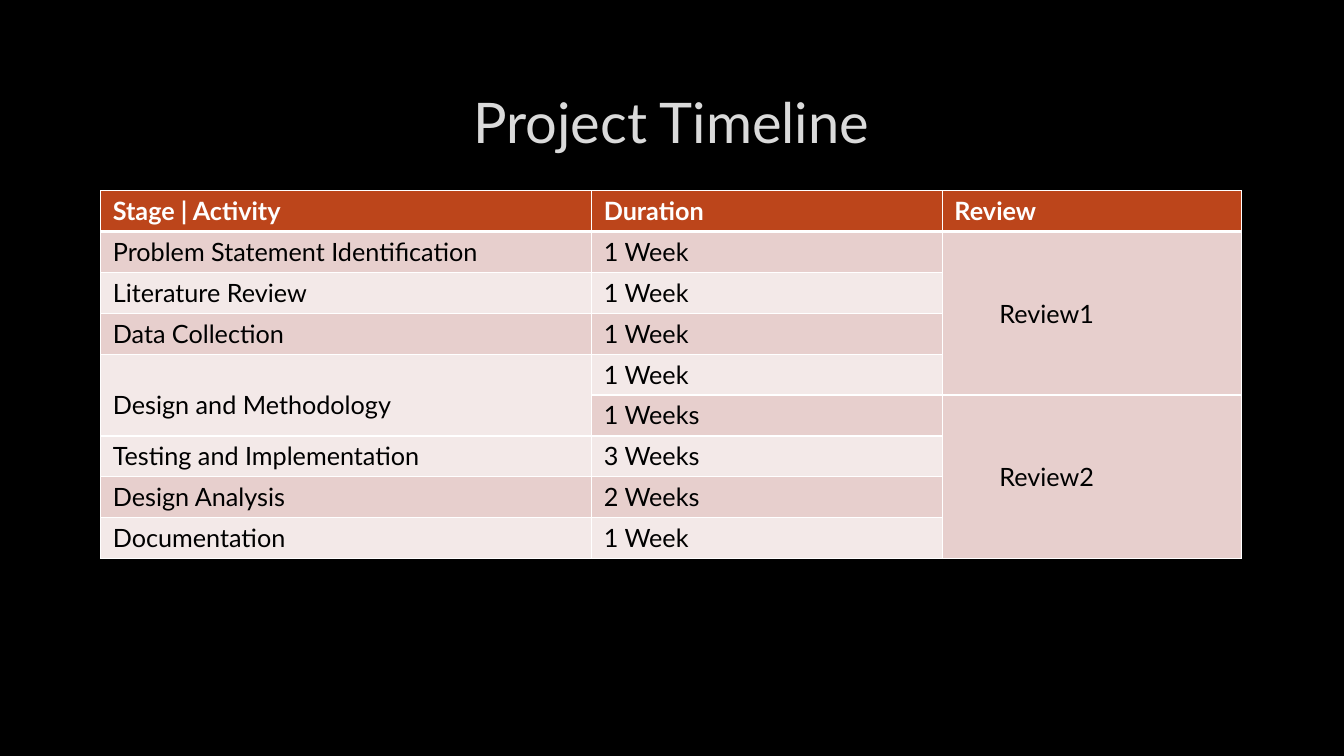
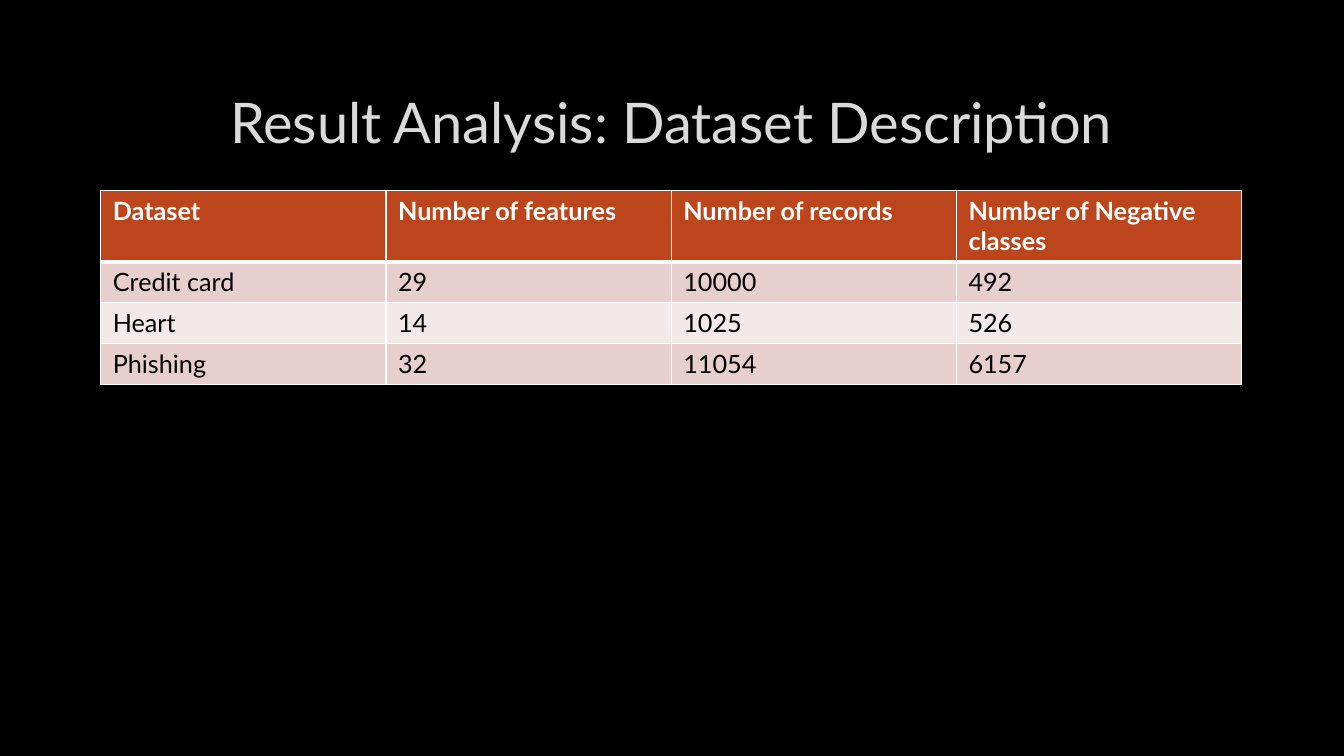
from lxml import etree
from pptx import Presentation
from pptx import util as u
from pptx.dml.color import RGBColor
from pptx.enum import text
from pptx.oxml import parse_xml

NAMESPACE = "http://schemas.openxmlformats.org/drawingml/2006/main"
FONT = "Lato"
BLACK, WHITE, TITLE_GREY, OUTLINE = "000000", "FFFFFF", "DADADA", "404040"
HEADER, BANDS = "BC451B", ("F3E9E8", "E7CFCD")
LEFT, WIDTH = 72, 815
TITLE_TOP, TITLE_HEIGHT, TABLE_TOP = 48, 76.4, 136.2
ROW_HEIGHT, LINE_HEIGHT = 29.2, 21.6
SIDE_INSET, TOP_INSET = 8.64, 3.6


def write(frame, words, size=18, color=BLACK, bold=False, align=text.PP_ALIGN.LEFT):
    para = frame.paragraphs[0]
    para.alignment = align
    span = para.add_run()
    span.text = words
    span.font.name = FONT
    span.font.size = u.Pt(size)
    span.font.bold = bold
    span.font.color.rgb = RGBColor.from_string(color)
    return span


def line_xml(tag, color, width, alpha=100):
    return parse_xml(
        f'<a:{tag} xmlns:a="{NAMESPACE}" w="{u.Pt(width)}"><a:solidFill>'
        f'<a:srgbClr val="{color}"><a:alpha val="{alpha * 1000}"/></a:srgbClr>'
        f'</a:solidFill><a:prstDash val="solid"/></a:{tag}>')


# Content: merges map (row, column) to rows spanned, left inset, top inset, anchor
MIDDLE, TOP = text.MSO_ANCHOR.MIDDLE, text.MSO_ANCHOR.TOP
review_merge = (4, 40.7, TOP_INSET, MIDDLE)
pages = [
    {
        "title": "Project Timeline",
        "columns": [350.7, 250.5, 213.8],
        "header_height": ROW_HEIGHT,
        "rows": [
            ["Stage | Activity", "Duration", "Review"],
            ["Problem Statement Identification", "1 Week", "Review1"],
            ["Literature Review", "1 Week", ""],
            ["Data Collection", "1 Week", ""],
            ["Design and Methodology", "1 Week", ""],
            ["", "1 Weeks", "Review2"],
            ["Testing and Implementation", "3 Weeks", ""],
            ["Design Analysis", "2 Weeks", ""],
            ["Documentation", "1 Week", ""],
        ],
        "merges": {
            (1, 2): review_merge,
            (5, 2): review_merge,
            (4, 0): (2, SIDE_INSET, TOP_INSET + LINE_HEIGHT, TOP),
        },
    },
    {
        "title": "Result Analysis: Dataset Description",
        "columns": [WIDTH / 4] * 4,
        "header_height": ROW_HEIGHT + LINE_HEIGHT,
        "rows": [
            ["Dataset", "Number of features", "Number of records",
             "Number of Negative classes"],
            ["Credit card", "29", "10000", "492"],
            ["Heart", "14", "1025", "526"],
            ["Phishing", "32", "11054", "6157"],
        ],
        "merges": {},
    },
]

# Deck with a shared black background
deck = Presentation()
deck.slide_width, deck.slide_height = u.Pt(960), u.Pt(540)
background = deck.slide_master.background.fill
background.solid()
background.fore_color.rgb = RGBColor.from_string(BLACK)

for content in pages:
    page = deck.slides.add_slide(deck.slide_layouts[5])

    # Title
    box = page.shapes.title
    box.left, box.top = u.Pt(LEFT), u.Pt(TITLE_TOP)
    box.width, box.height = u.Pt(WIDTH), u.Pt(TITLE_HEIGHT)
    box.text_frame.vertical_anchor = MIDDLE
    span = write(box.text_frame, content["title"], size=40, color=TITLE_GREY,
                 align=text.PP_ALIGN.CENTER)
    span.font.fill.solid()
    span.font.color.rgb = RGBColor.from_string(TITLE_GREY)
    span.font._element.insert(0, line_xml("ln", OUTLINE, 0.75, alpha=10))

    # Table grid
    rows, columns = content["rows"], content["columns"]
    heights = [content["header_height"]] + [ROW_HEIGHT] * (len(rows) - 1)
    table = page.shapes.add_table(
        len(rows), len(columns), u.Pt(LEFT), u.Pt(TABLE_TOP),
        u.Pt(WIDTH), u.Pt(sum(heights))).table
    for column, width in zip(table.columns, columns):
        column.width = u.Pt(width)
    for row, height in zip(table.rows, heights):
        row.height = u.Pt(height)

    # Cells
    for r, row in enumerate(rows):
        for c, words in enumerate(row):
            cell = table.cell(r, c)
            cell.fill.solid()
            cell.fill.fore_color.rgb = RGBColor.from_string(BANDS[r % 2] if r else HEADER)
            span_rows, left, top, anchor = content["merges"].get(
                (r, c), (1, SIDE_INSET, TOP_INSET, TOP))
            cell.margin_left, cell.margin_right = u.Pt(left), u.Pt(SIDE_INSET)
            cell.margin_top, cell.margin_bottom = u.Pt(top), u.Pt(TOP_INSET)
            cell.vertical_anchor = anchor
            if words:
                write(cell.text_frame, words, color=BLACK if r else WHITE, bold=r == 0)

            # White borders, thicker under the header
            borders = {"lnL": 1, "lnR": 1, "lnT": 3 if r == 1 else 1,
                       "lnB": 3 if r == 0 else 1}
            properties = cell._tc.get_or_add_tcPr()
            for index, (side, width) in enumerate(borders.items()):
                properties.insert(index, line_xml(side, WHITE, width))

    for (r, c), (span_rows, *_) in content["merges"].items():
        table.cell(r, c).merge(table.cell(r + span_rows - 1, c))

deck.save("out.pptx")
